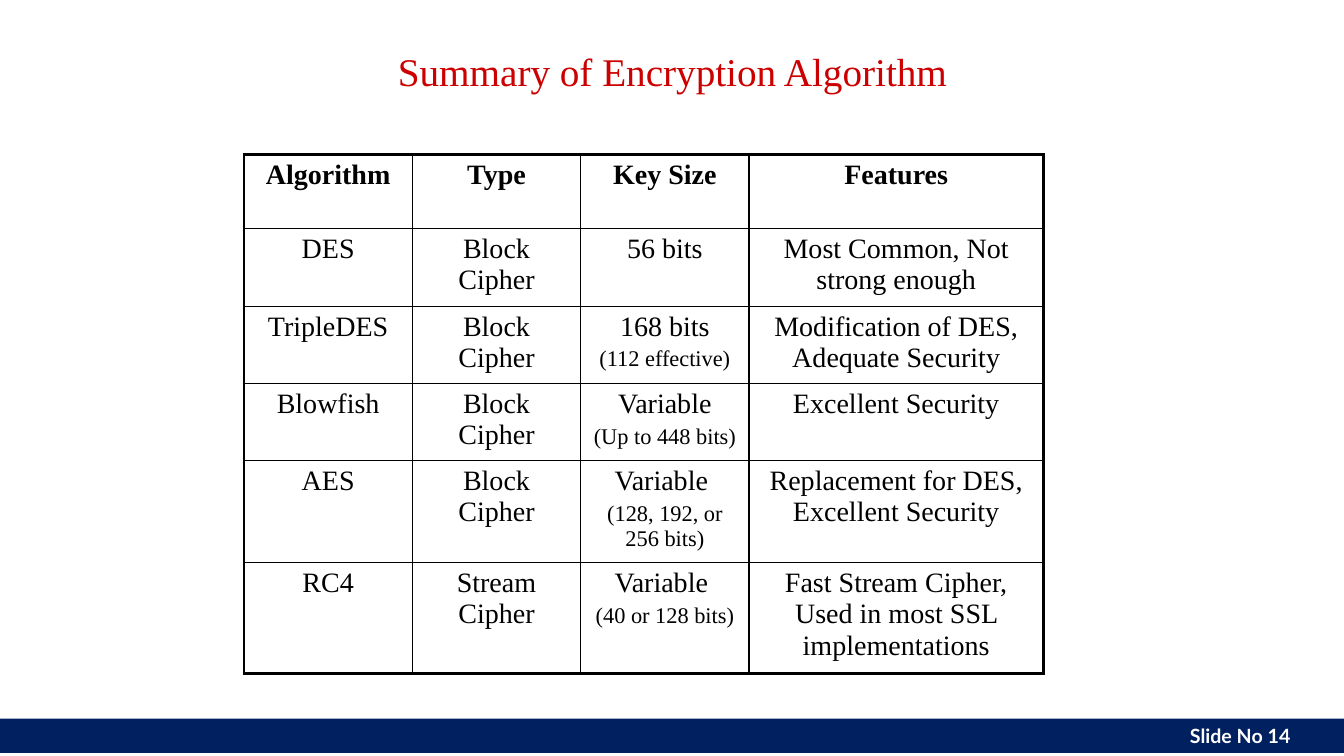
from lxml import etree
from pptx import Presentation
from pptx import util as u
from pptx.dml.color import RGBColor
from pptx.enum import shapes, text
from pptx.oxml import ns

SERIF = "Times New Roman"
BLACK, WHITE, NAVY, RED = "000000", "FFFFFF", "002060", "CC0000"
THIN, THICK = 1, 2.25
COLUMN_WIDTHS = [1.67, 1.67, 1.67, 2.92]
ROW_HEIGHT = 0.74
ALGORITHMS = [
    ["Algorithm", "Type", "Key Size", "Features"],
    ["DES", "Block Cipher", "56 bits", "Most Common, Not strong enough"],
    ["TripleDES", "Block Cipher", "168 bits\n(112 effective)",
     "Modification of DES, Adequate Security"],
    ["Blowfish", "Block Cipher", "Variable\n(Up to 448 bits)", "Excellent Security"],
    ["AES", "Block Cipher", "Variable \n(128, 192, or 256 bits)",
     "Replacement for DES, Excellent Security"],
    ["RC4", "Stream Cipher", "Variable \n(40 or 128 bits)",
     "Fast Stream Cipher, Used in most SSL implementations"],
]


def rgb(value):
    return RGBColor.from_string(value)


def inches(*lengths):
    return [u.Inches(length) for length in lengths]


def write(paragraph, words, align, size, color, name=SERIF, bold=False):
    paragraph.alignment = align
    run = paragraph.add_run()
    run.text = words
    for attribute, value in {"size": u.Pt(size), "name": name, "bold": bold}.items():
        setattr(run.font, attribute, value)
    run.font.color.rgb = rgb(color)


def add_footer(slide, words):
    footer = slide.shapes.add_shape(
        shapes.MSO_SHAPE.RECTANGLE, *inches(0, 7.13, 13.33, 0.34))
    footer.shadow.inherit = False
    footer.fill.solid()
    footer.fill.fore_color.rgb = rgb(NAVY)
    footer.line.fill.background()
    frame = footer.text_frame
    frame.margin_right = u.Inches(0.53)
    frame.vertical_anchor = text.MSO_ANCHOR.MIDDLE
    write(frame.paragraphs[0], words, text.PP_ALIGN.RIGHT, 14, WHITE, "Lato", True)


def add_title(slide, words):
    frame = slide.shapes.add_textbox(*inches(2.42, 0.08, 8.5, 1.25)).text_frame
    frame.word_wrap = True
    frame.vertical_anchor = text.MSO_ANCHOR.MIDDLE
    write(frame.paragraphs[0], words, text.PP_ALIGN.CENTER, 28, RED)


def add_borders(cell, widths):
    properties = cell._tc.get_or_add_tcPr()
    for side, width in widths.items():
        border = etree.SubElement(properties, ns.qn(f"a:ln{side}"), w=str(u.Pt(width)))
        fill = etree.SubElement(border, ns.qn("a:solidFill"))
        etree.SubElement(fill, ns.qn("a:srgbClr"), val=BLACK)


def fill_cell(cell, words, bold):
    main_line, *details = words.split("\n")
    frame = cell.text_frame
    write(frame.paragraphs[0], main_line, text.PP_ALIGN.CENTER, 20, BLACK, bold=bold)
    for detail in details:
        paragraph = frame.add_paragraph()
        paragraph.space_before = u.Pt(3.2)
        write(paragraph, detail, text.PP_ALIGN.CENTER, 16, BLACK)


def add_algorithm_table(slide, rows):
    last_row, last_column = len(rows) - 1, len(COLUMN_WIDTHS) - 1
    table = slide.shapes.add_table(
        len(rows), len(COLUMN_WIDTHS),
        *inches(2.42, 1.53, sum(COLUMN_WIDTHS), ROW_HEIGHT * len(rows))).table
    table.first_row = table.horz_banding = False
    for column, width in zip(table.columns, COLUMN_WIDTHS):
        column.width = u.Inches(width)
    for r, row in enumerate(rows):
        table.rows[r].height = u.Inches(ROW_HEIGHT)
        for c, words in enumerate(row):
            cell = table.cell(r, c)
            outer = {"L": c == 0, "R": c == last_column, "T": r == 0, "B": r == last_row}
            add_borders(cell, {s: THICK if edge else THIN for s, edge in outer.items()})
            cell.fill.background()
            fill_cell(cell, words, bold=r == 0)


def main():
    deck = Presentation()
    deck.slide_width, deck.slide_height = inches(13.33, 7.5)
    slide = deck.slides.add_slide(deck.slide_layouts[6])
    add_footer(slide, "Slide No 14")
    add_title(slide, "Summary of Encryption Algorithm")
    add_algorithm_table(slide, ALGORITHMS)
    deck.save("out.pptx")


if __name__ == "__main__":
    main()
